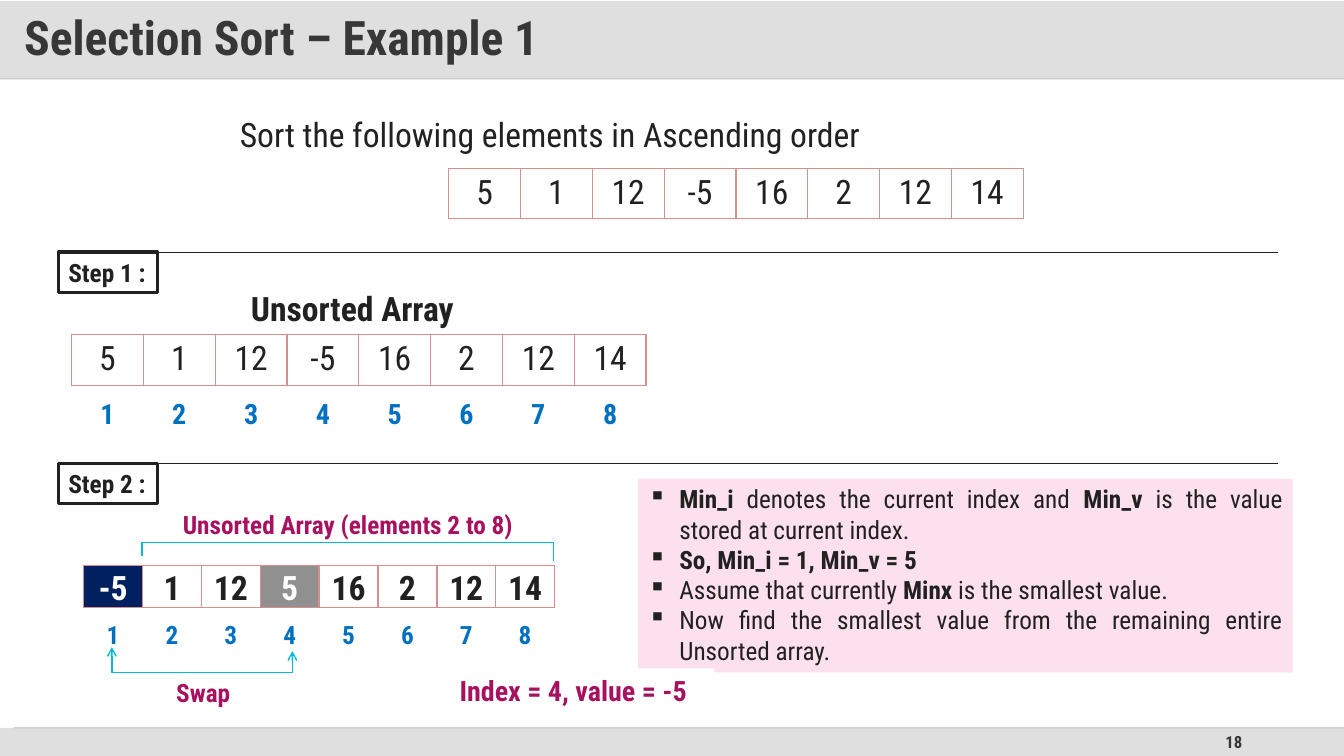
from lxml import etree
from pptx import Presentation
from pptx.dml.color import RGBColor
from pptx.enum import shapes, text
from pptx.oxml import ns
from pptx.util import Inches, Pt

FONT = "Roboto Condensed"
INK = RGBColor(0x21, 0x21, 0x21)
HEADING = RGBColor(0x37, 0x37, 0x37)
WHITE = RGBColor(0xFF, 0xFF, 0xFF)
FOOTER_GRAY = RGBColor(0xDF, 0xDF, 0xDF)
TITLE_GRAY = RGBColor(0xC0, 0xC0, 0xC0)
TITLE_RULE = RGBColor(0xD9, 0xD9, 0xD9)
FOOTER_RULE = RGBColor(0xBF, 0xBF, 0xBF)
CELL_BORDER = RGBColor(0xD6, 0x8F, 0x8C)
BLUE = RGBColor(0x00, 0x70, 0xC0)
NAVY = RGBColor(0x00, 0x20, 0x60)
SWAP_GRAY = RGBColor(0x90, 0x90, 0x90)
PINK = RGBColor(0xFC, 0xE0, 0xEE)
MAGENTA = RGBColor(0xA7, 0x11, 0x60)
CYAN = RGBColor(0x00, 0xBB, 0xD3)

LEFT, CENTER = text.PP_ALIGN.LEFT, text.PP_ALIGN.CENTER
TOP, MIDDLE = text.MSO_ANCHOR.TOP, text.MSO_ANCHOR.MIDDLE
RECTANGLE = shapes.MSO_SHAPE.RECTANGLE

VALUES = ["5", "1", "12", "-5", "16", "2", "12", "14"]
SWAPPED = ["-5", "1", "12", "5", "16", "2", "12", "14"]
INDEXES = [str(number) for number in range(1, 9)]
HIGHLIGHTS = {0: NAVY, 3: SWAP_GRAY}
NOTES = [
    [("Min_i", True), (" denotes the current index and ", False), ("Min_v", True),
     (" is the value stored at current index.", False)],
    [("So, Min_i = 1, Min_v = 5", True)],
    [("Assume that currently ", False), ("Minx", True), (" is the smallest value.", False)],
    [("Now find the smallest value from the remaining entire Unsorted array.", False)],
]


def add_run(paragraph, wording, size, color, bold):
    run = paragraph.add_run()
    run.text = wording
    run.font.name = FONT
    run.font.size = Pt(size)
    run.font.bold = bold
    run.font.color.rgb = color


def write(shape, wording, size, color=INK, bold=True, align=LEFT, anchor=TOP, wrap=True):
    frame = shape.text_frame
    frame.word_wrap = wrap
    frame.vertical_anchor = anchor
    paragraph = frame.paragraphs[0]
    paragraph.alignment = align
    add_run(paragraph, wording, size, color, bold)


def add_box(slide, place, fill=None, border=None, width=1, kind=RECTANGLE):
    shape = slide.shapes.add_shape(kind, *map(Inches, place))
    shape.shadow.inherit = False
    if fill is None:
        shape.fill.background()
    else:
        shape.fill.solid()
        shape.fill.fore_color.rgb = fill
    if border is None:
        shape.line.fill.background()
    else:
        shape.line.color.rgb = border
        shape.line.width = Pt(width)
    return shape


def add_label(slide, place, wording, size, **style):
    write(slide.shapes.add_textbox(*map(Inches, place)), wording, size, **style)


def add_rule(slide, left, right, top, color, width):
    rule = slide.shapes.add_connector(shapes.MSO_CONNECTOR.STRAIGHT, Inches(left), Inches(top),
                                      Inches(right), Inches(top))
    rule.line.color.rgb = color
    rule.line.width = Pt(width)
    etree.SubElement(rule._element.spPr, ns.qn("a:effectLst"))
    return rule


def set_opacity(shape, percent):
    color = shape._element.spPr.find(".//" + ns.qn("a:srgbClr"))
    etree.SubElement(color, ns.qn("a:alpha"), val=str(percent * 1000))


def add_border(cell, color):
    properties = cell._tc.get_or_add_tcPr()
    for position, side in enumerate(("a:lnL", "a:lnR", "a:lnT", "a:lnB")):
        line = etree.Element(ns.qn(side), w=str(Pt(1)))
        fill = etree.SubElement(line, ns.qn("a:solidFill"))
        etree.SubElement(fill, ns.qn("a:srgbClr"), val=str(color))
        properties.insert(position, line)


def add_array(slide, left, top, height, values, size, color=INK, bold=False, border=None):
    place = map(Inches, (left, top, 5.7, height))
    table = slide.shapes.add_table(1, len(values), *place).table
    table.first_row = table.horz_banding = False
    for cell, value in zip(table.rows[0].cells, values):
        cell.fill.background()
        if border is not None:
            add_border(cell, border)
        paragraph = cell.text_frame.paragraphs[0]
        paragraph.alignment = CENTER
        add_run(paragraph, value, size, color, bold)


def add_path(slide, points, arrows=False):
    corners = [(Inches(x), Inches(y)) for x, y in points]
    builder = slide.shapes.build_freeform(*corners[0])
    builder.add_line_segments(corners[1:], close=False)
    shape = builder.convert_to_shape()
    shape.shadow.inherit = False
    shape.fill.background()
    shape.line.color.rgb = CYAN
    shape.line.width = Pt(1)
    if arrows:
        line = shape._element.spPr.find(ns.qn("a:ln"))
        for end in ("a:headEnd", "a:tailEnd"):
            etree.SubElement(line, ns.qn(end), type="arrow")


def add_step(slide, top, wording):
    add_rule(slide, 0.58, 12.68, top, INK, 0.5)
    write(add_box(slide, (0.58, top, 0.98, 0.4), border=INK, width=2.25), wording, 18, wrap=False)


def add_swapped_array(slide):
    pitch = (5.5 - 0.83) / len(SWAPPED)
    # Highlighted cells come last so that their borders lie on top
    for column in sorted(range(len(SWAPPED)), key=lambda item: item in HIGHLIGHTS):
        left = 0.83 + column * pitch
        value = add_box(slide, (left, 5.61, pitch, 0.42), HIGHLIGHTS.get(column, WHITE), CELL_BORDER)
        write(value, SWAPPED[column], 24, WHITE if column in HIGHLIGHTS else INK,
              align=CENTER, anchor=MIDDLE)
        index = add_box(slide, (left, 6.08, pitch, 0.42), WHITE)
        write(index, INDEXES[column], 18, BLUE, align=CENTER, anchor=MIDDLE)


def add_notes_panel(slide):
    frame = add_box(slide, (6.33, 4.75, 6.49, 1.92), PINK).text_frame
    frame.word_wrap = True
    frame.vertical_anchor = TOP
    for position, runs in enumerate(NOTES):
        paragraph = frame.add_paragraph() if position else frame.paragraphs[0]
        paragraph.alignment = text.PP_ALIGN.JUSTIFY
        properties = paragraph._p.get_or_add_pPr()
        properties.set("marL", str(Inches(0.31)))
        properties.set("indent", str(Inches(-0.31)))
        etree.SubElement(properties, ns.qn("a:buChar"), char="▪")
        for wording, bold in runs:
            add_run(paragraph, wording, 18, INK, bold)


def add_title_and_footer(slide):
    add_box(slide, (0, 7.22, 13.33, 0.28), FOOTER_GRAY)
    add_label(slide, (9.42, 7.22, 3, 0.28), "18", 12, color=HEADING,
              align=text.PP_ALIGN.RIGHT, anchor=MIDDLE)
    add_rule(slide, 0, 13.33, 0.78, TITLE_RULE, 1)
    set_opacity(add_rule(slide, 0.14, 13.48, 7.22, FOOTER_RULE, 1), 70)
    title = add_box(slide, (0, 0.01, 13.33, 0.78), TITLE_GRAY)
    set_opacity(title, 50)
    write(title, "Selection Sort – Example 1", 34, HEADING, anchor=MIDDLE)
    frame = title.text_frame
    frame.margin_left = frame.margin_right = Inches(0.24)
    frame.margin_top = frame.margin_bottom = Inches(0.12)
    frame.paragraphs[0].line_spacing = 0.9


def main():
    presentation = Presentation()
    presentation.slide_width, presentation.slide_height = Inches(13.33), Inches(7.5)
    slide = presentation.slides.add_slide(presentation.slide_layouts[6])
    add_title_and_footer(slide)

    # Task
    add_label(slide, (2.28, 1.08, 6.75, 0.5), "Sort the following elements in Ascending order",
              24, bold=False)
    add_array(slide, 4.45, 1.67, 0.5, VALUES, 24, border=CELL_BORDER)

    # Step 1
    add_step(slide, 2.5, "Step 1 :")
    add_label(slide, (2.33, 2.81, 2.33, 0.5), "Unsorted Array", 24, align=CENTER, wrap=False)
    add_array(slide, 0.71, 3.32, 0.5, VALUES, 24, border=CELL_BORDER)
    add_array(slide, 0.71, 3.9, 0.43, INDEXES, 20, BLUE, True)

    # Step 2
    add_step(slide, 4.6, "Step 2 :")
    add_swapped_array(slide)
    add_notes_panel(slide)
    add_path(slide, [(5.49, 5.57), (5.49, 5.38), (1.41, 5.38), (1.41, 5.52)])
    add_label(slide, (1.41, 5, 4.08, 0.4), "Unsorted Array (elements 2 to 8)", 18,
              color=MAGENTA, align=CENTER)
    add_path(slide, [(1.11, 6.42), (1.11, 6.67), (2.9, 6.67), (2.9, 6.46)], arrows=True)
    add_label(slide, (1.52, 6.67, 0.99, 0.4), "Swap", 18, color=MAGENTA, align=CENTER)
    write(add_box(slide, (4.46, 6.63, 2.62, 0.44), WHITE), "Index = 4, value = -5", 20, MAGENTA)

    presentation.save("out.pptx")


if __name__ == "__main__":
    main()
